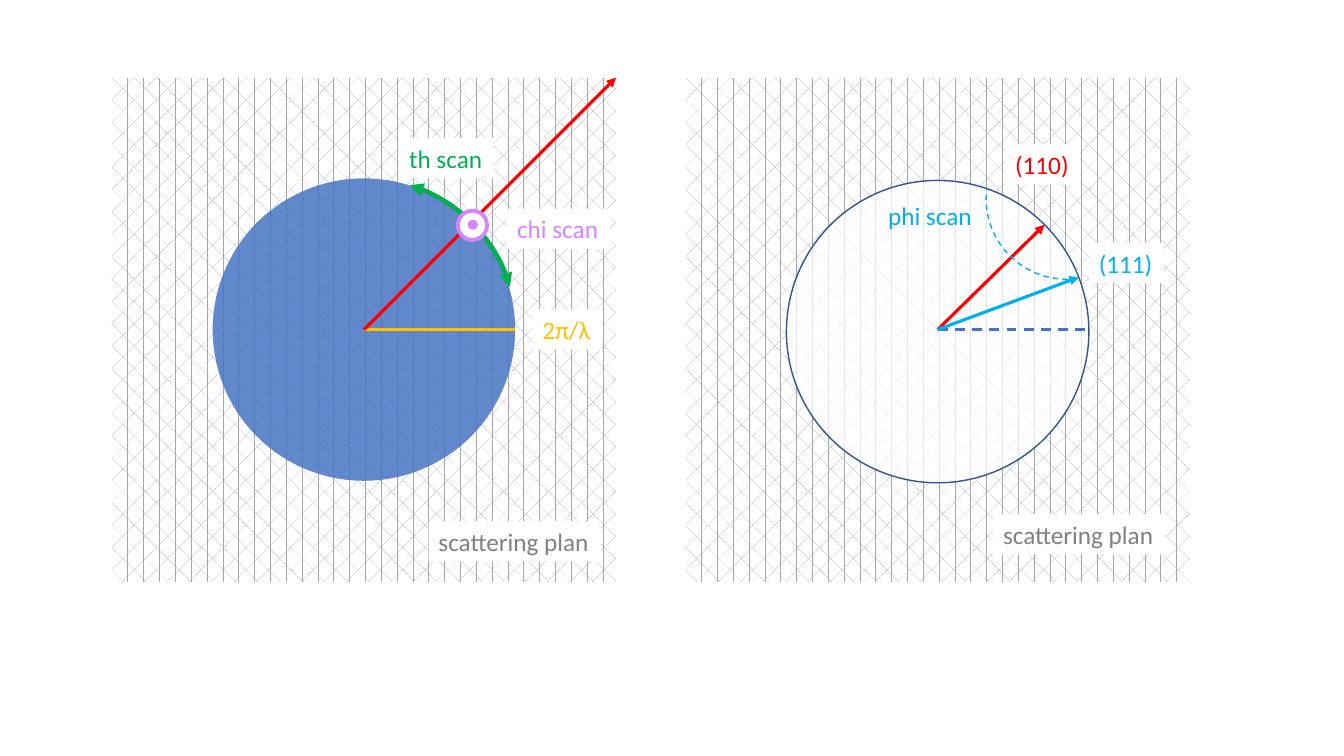
import pptx
import pptx.util
import pptx.dml.color
import pptx.enum.dml
import pptx.enum.shapes
import pptx.enum.text
import pptx.oxml
import pptx.oxml.ns
from lxml import etree

Inches, Pt = pptx.util.Inches, pptx.util.Pt
SHAPE = pptx.enum.shapes.MSO_SHAPE
DASH = pptx.enum.dml.MSO_LINE.DASH
rgb = pptx.dml.color.RGBColor.from_string
qn = pptx.oxml.ns.qn
RED, GREEN, BLUE, SKY = "FF0000", "00B050", "4472C4", "00B0F0"
VIOLET, GOLD, GREY, WHITE = "D883FF", "FFC000", "808080", "FFFFFF"


def style(s, fill=None, alpha=None, line=None, weight=1, dash=None, arrows=()):
    """Set fill, opacity in percent, outline and arrowheads."""
    if s.shape_type == pptx.enum.shapes.MSO_SHAPE_TYPE.LINE:
        etree.SubElement(s._element.spPr, qn("a:effectLst"))
    else:
        s.shadow.inherit = False
        if fill:
            s.fill.solid()
            s.fill.fore_color.rgb = rgb(fill)
            if alpha:
                color = s._element.spPr.find(".//" + qn("a:srgbClr"))
                etree.SubElement(color, qn("a:alpha"), val=str(alpha * 1000))
        else:
            s.fill.background()
    if not line:
        s.line.fill.background()
        return
    s.line.color.rgb = rgb(line)
    s.line.width = Pt(weight)
    if dash:
        s.line.dash_style = dash
    for end in arrows:
        etree.SubElement(s._element.spPr.find(qn("a:ln")), qn("a:" + end), type="triangle")


def add(group, kind, left, top, width, height, **look):
    s = group.shapes.add_shape(kind, *map(Inches, (left, top, width, height)))
    style(s, **look)
    return s


prs = pptx.Presentation()
prs.slide_width, prs.slide_height = Inches(13.33), Inches(7.5)
slide = prs.slides.add_slide(prs.slide_layouts[6])

# Hatched scattering planes, one group each
planes = []
for left in (1.11, 6.8):
    group = slide.shapes.add_group_shape()
    planes.append(group)
    s = add(group, SHAPE.RECTANGLE, left, 0.77, 5, 5)
    s.fill.patterned()
    s.fill.pattern = pptx.enum.dml.MSO_PATTERN.DIVOT
    s.fill.fore_color.rgb = rgb("A6A6A6")
    s.fill.back_color.rgb = rgb(WHITE)
theta_plane, phi_plane = planes

# Spheres
add(theta_plane, SHAPE.OVAL, 2.11, 1.77, 3, 3, fill=BLUE, alpha=83)
add(phi_plane, SHAPE.OVAL, 7.8, 1.79, 3, 3, fill=WHITE, alpha=72, line="325491")

# Radii and vectors from the sphere centres
center_y = 3.27
for group, center_x, x, y, color, weight, dash, arrows in (
    (theta_plane, 3.61, 5.11, center_y, GOLD, 1.75, None, ()),
    (theta_plane, 3.61, 6.11, 0.77, RED, 2.25, None, ("tailEnd",)),
    (phi_plane, 9.3, 10.8, center_y, BLUE, 1.75, DASH, ()),
    (phi_plane, 9.3, 10.36, 2.23, RED, 2.25, None, ("tailEnd",)),
    (phi_plane, 9.3, 10.7, 2.75, SKY, 2.25, None, ("tailEnd",)),
):
    s = group.shapes.add_connector(
        pptx.enum.shapes.MSO_CONNECTOR.STRAIGHT,
        Inches(center_x), Inches(center_y), Inches(x), Inches(y))
    style(s, line=color, weight=weight, dash=dash, arrows=arrows)

# Scan arcs, angles in degrees (an adjustment unit is 1/0.6 degree)
theta_arc = add(theta_plane, SHAPE.ARC, 2.12, 1.77, 3, 3, line=GREEN, weight=3.25,
                arrows=("headEnd", "tailEnd"))
phi_arc = add(phi_plane, SHAPE.ARC, 9.78, 1.17, 1.6, 1.6, line=SKY, dash=DASH)
phi_arc.rotation = 180
for arc, start, end in ((theta_arc, 287.26, 343.54), (phi_arc, 262.19, 7.99)):
    arc.adjustments[0] = start * 0.6
    arc.adjustments[1] = end * 0.6

# Chi axis pointing out of the plane
add(theta_plane, SHAPE.OVAL, 4.54, 2.09, 0.29, 0.29, fill=WHITE, line=VIOLET, weight=2.75)
add(theta_plane, SHAPE.OVAL, 4.64, 2.18, 0.1, 0.1, fill=VIOLET)

# Labels
for group, text, left, top, width, color, fill in (
    (theta_plane, "scattering plan", 4.25, 5.17, 1.71, GREY, WHITE),
    (theta_plane, "2π/λ", 5.28, 3.07, 0.69, GOLD, WHITE),
    (theta_plane, "th scan", 3.96, 1.37, 0.93, GREEN, WHITE),
    (theta_plane, "chi scan", 5.03, 2.07, 1.02, VIOLET, WHITE),
    (phi_plane, "(110)", 9.97, 1.43, 0.74, RED, WHITE),
    (phi_plane, "(111)", 10.8, 2.41, 0.74, SKY, WHITE),
    (phi_plane, "phi scan", 8.71, 1.94, 1.04, SKY, None),
    (phi_plane, "scattering plan", 9.85, 5.1, 1.71, GREY, WHITE),
):
    s = group.shapes.add_textbox(*map(Inches, (left, top, width, 0.4)))
    style(s, fill=fill)
    tf = s.text_frame
    tf.text = text
    tf.word_wrap = False
    tf.auto_size = pptx.enum.text.MSO_AUTO_SIZE.SHAPE_TO_FIT_TEXT
    font = tf.paragraphs[0].runs[0].font
    font.name, font.size = "Calibri", Pt(18)
    font.color.rgb = rgb(color)

prs.save("out.pptx")
